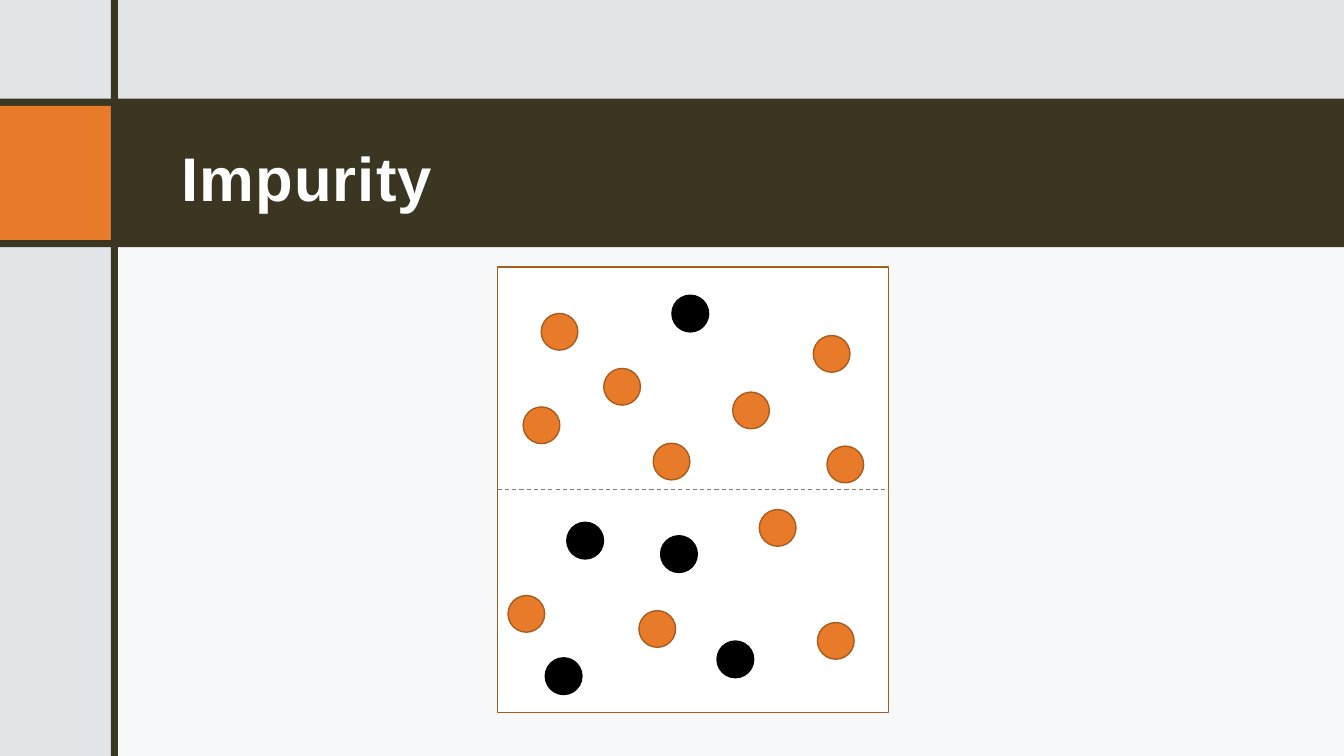
from lxml.etree import SubElement
from pptx import Presentation
from pptx.dml.color import RGBColor
from pptx.enum.dml import MSO_LINE_DASH_STYLE as Dash
from pptx.enum.shapes import MSO_CONNECTOR as Connector, MSO_SHAPE as Shape
from pptx.enum.text import MSO_ANCHOR as Anchor, MSO_AUTO_SIZE as AutoSize, PP_ALIGN as Align
from pptx.oxml.ns import qn
from pptx.util import Pt

WHITE = RGBColor(0xFF, 0xFF, 0xFF)
BLACK = RGBColor(0x00, 0x00, 0x00)
PALE = RGBColor(0xE2, 0xE5, 0xE8)
BROWN = RGBColor(0x3A, 0x36, 0x21)
ORANGE = RGBColor(0xE7, 0x7B, 0x29)
RUST = RGBColor(0xAB, 0x5B, 0x1E)
GRAY = RGBColor(0x7F, 0x7F, 0x7F)

WIDTH, HEIGHT = 960, 540
BAR_LEFT, BAR_WIDTH = 79.2, 5.1
DOT_SIZE = 26.2

# Left and top of each dot
ORANGE_DOTS = [
    (386.6, 223.9), (431.3, 263.2), (373.7, 290.7), (523.4, 280.1),
    (581, 239.7), (590.7, 318.7), (466.6, 316.6), (542.4, 364),
    (362.9, 425.4), (456.4, 436.2), (583.9, 444.7),
]
BLACK_DOTS = [
    (480, 210.9), (404.9, 373.1), (471.9, 382.7), (389.5, 469.9), (512.2, 457.9),
]


class SlideBuilder:
    """Adds styled elements to one slide; lengths are in points."""

    font_name = "Arial"

    def __init__(self, page):
        self.page = page
        background = page.background.fill
        background.solid()
        background.fore_color.rgb = PALE

    def shape(self, kind, left, top, width, height, fill, outline=None, opacity=None):
        box = self.page.shapes.add_shape(kind, Pt(left), Pt(top), Pt(width), Pt(height))
        box.shadow.inherit = False
        box.fill.solid()
        box.fill.fore_color.rgb = fill
        if opacity is not None:
            color = box.element.spPr.find(".//" + qn("a:srgbClr"))
            SubElement(color, qn("a:alpha"), val=str(opacity * 1000))
        if outline is None:
            box.line.fill.background()
        else:
            box.line.color.rgb = outline
            box.line.width = Pt(1)
        return box

    def dots(self, places, fill, outline):
        for left, top in places:
            self.shape(Shape.OVAL, left, top, DOT_SIZE, DOT_SIZE, fill, outline)

    def title(self, text, left, top, width, height):
        box = self.page.shapes.title
        box.left, box.top, box.width, box.height = Pt(left), Pt(top), Pt(width), Pt(height)
        # Bring the title in front of the band
        box.element.getparent().append(box.element)
        frame = box.text_frame
        frame.word_wrap = True
        frame.auto_size = AutoSize.NONE
        frame.vertical_anchor = Anchor.MIDDLE
        frame.margin_left = frame.margin_top = frame.margin_right = Pt(8.64)
        frame.margin_bottom = Pt(7.2)
        para = frame.paragraphs[0]
        para.alignment = Align.LEFT
        para.line_spacing = 1.1
        span = para.add_run()
        span.text = text
        span.font.name = self.font_name
        span.font.size = Pt(44)
        span.font.bold = True
        span.font.color.rgb = WHITE
        span._r.get_or_add_rPr().set("spc", "80")

    def divider(self, box):
        middle = box.top + box.height // 2
        line = self.page.shapes.add_connector(
            Connector.STRAIGHT, box.left, middle, box.left + box.width, middle)
        line.begin_connect(box, 1)
        line.end_connect(box, 3)
        line.line.color.rgb = GRAY
        line.line.width = Pt(0.75)
        line.line.dash_style = Dash.DASH
        SubElement(line.element.spPr, qn("a:effectLst"))


def main():
    deck = Presentation()
    deck.slide_width, deck.slide_height = Pt(WIDTH), Pt(HEIGHT)
    builder = SlideBuilder(deck.slides.add_slide(deck.slide_layouts[5]))

    # Backdrop and title band
    panel_left = BAR_LEFT + BAR_WIDTH
    builder.shape(Shape.RECTANGLE, panel_left, 168, WIDTH - panel_left, HEIGHT - 168,
                  WHITE, opacity=75)
    builder.shape(Shape.RECTANGLE, 0, 70.5, WIDTH, 106, BROWN)
    builder.title("Impurity", 121, 82, 788.4, 81.4)
    builder.shape(Shape.RECTANGLE, 0, 75.6, BAR_LEFT, 95.8, ORANGE)
    builder.shape(Shape.RECTANGLE, BAR_LEFT, 0, BAR_WIDTH, HEIGHT, BROWN)

    # Sample box split into two halves
    sample = builder.shape(Shape.RECTANGLE, 355.6, 190.8, 279.2, 318.2, WHITE, RUST)
    builder.divider(sample)

    # Dots of the two classes
    builder.dots(ORANGE_DOTS, ORANGE, RUST)
    builder.dots(BLACK_DOTS, BLACK, BLACK)

    deck.save("out.pptx")


if __name__ == "__main__":
    main()
